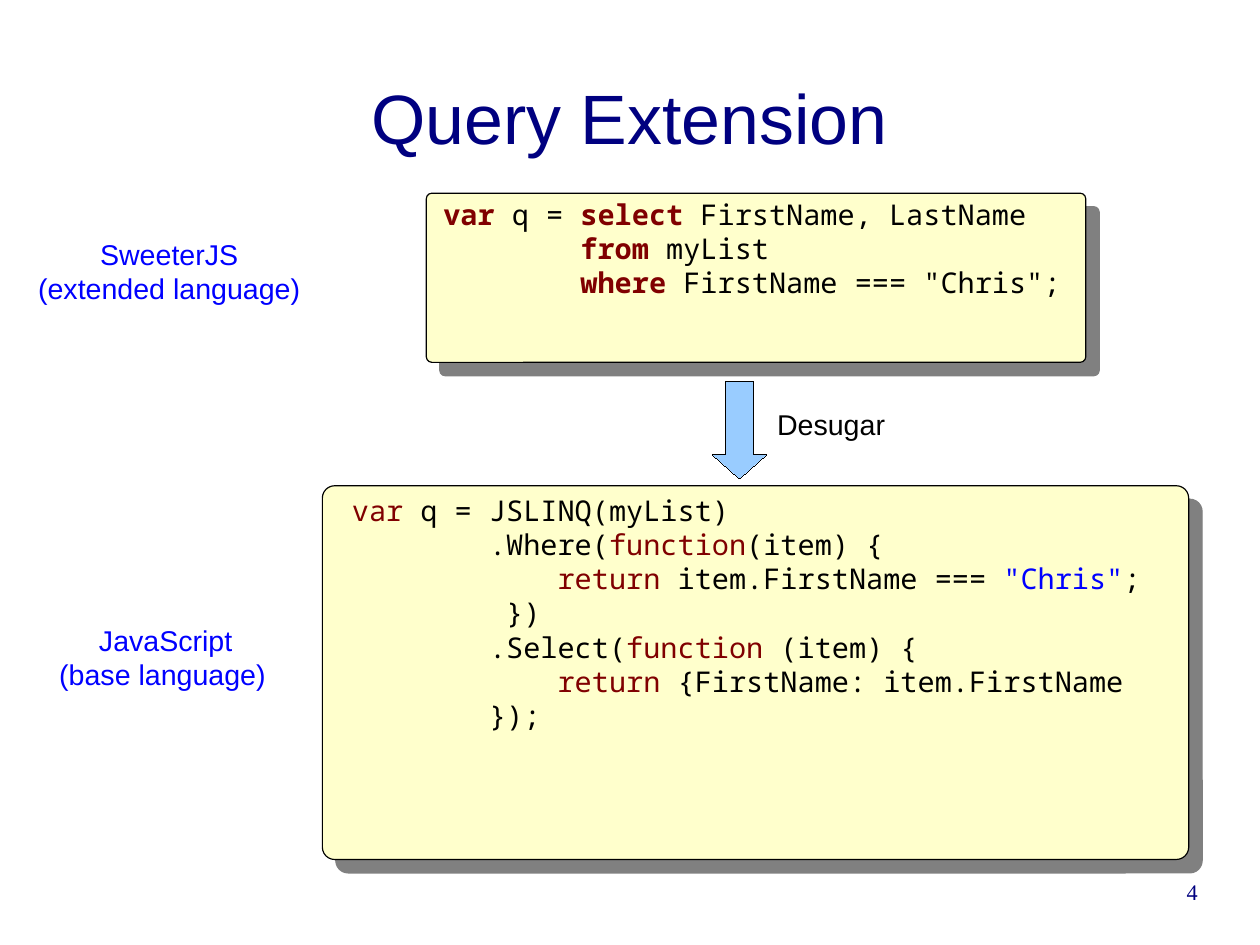
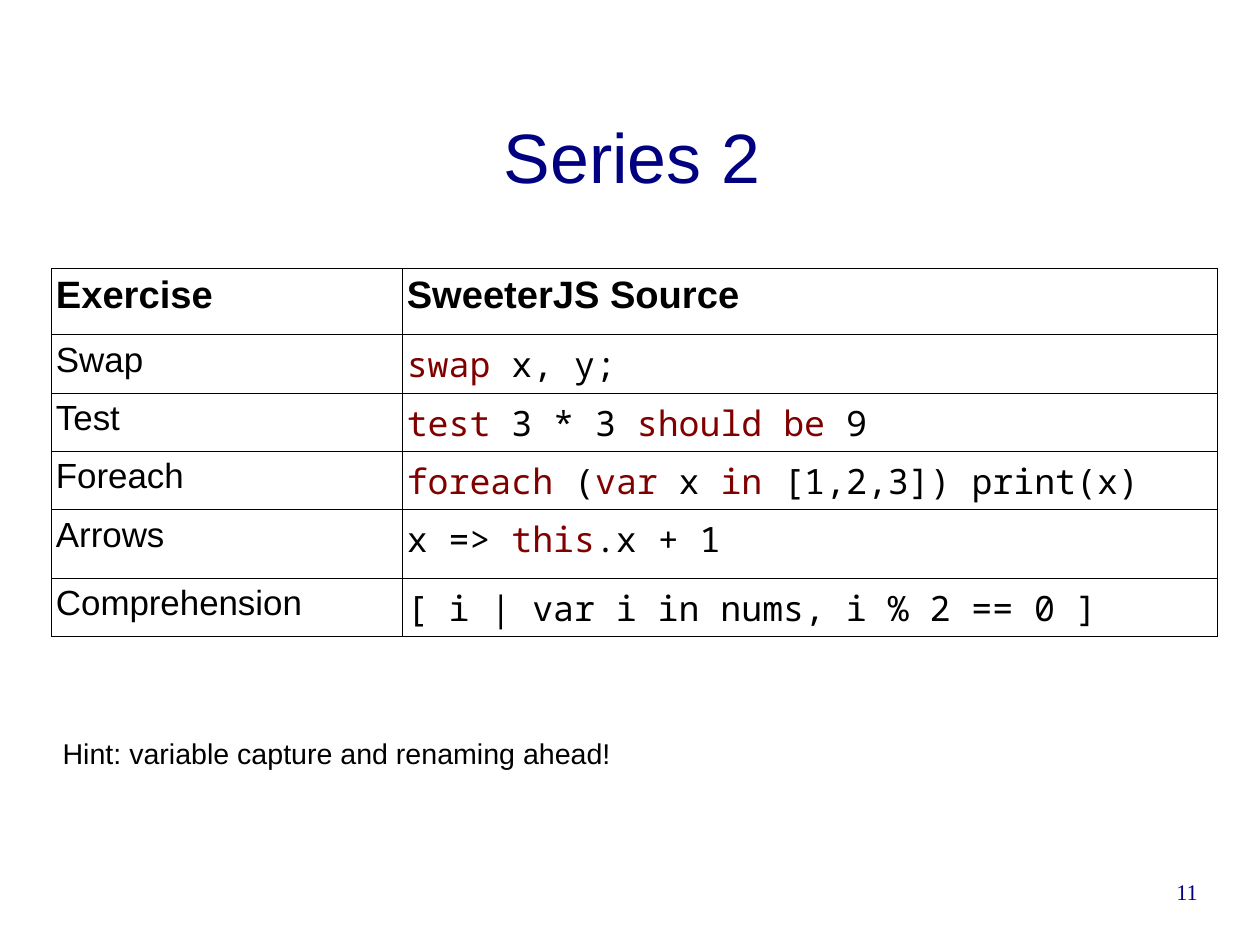
from dataclasses import dataclass

from lxml.etree import SubElement
from pptx import Presentation
from pptx.dml.color import RGBColor
from pptx.enum.shapes import MSO_SHAPE as Shape
from pptx.enum.text import MSO_ANCHOR as Anchor, PP_ALIGN as Align
from pptx.oxml.ns import qn
from pptx.util import Inches, Pt


@dataclass(frozen=True)
class Theme:
    navy: str = "000080"
    ink: str = "000000"
    keyword: str = "800000"
    blue: str = "0000FF"
    panel: str = "FFFFCC"
    arrow: str = "99CCFF"
    shade: str = "808080"
    sans: str = "Arial"
    mono: str = "Noto Sans Mono"
    serif: str = "Times New Roman"
    title: int = 44
    header: int = 24
    cell: int = 22
    body: int = 18
    footer: int = 14
    hairline: float = 0.01


THEME = Theme()
CM_PER_INCH = 2.54
SLIDE_CM = (28, 21)


@dataclass(frozen=True)
class Style:
    size: int = THEME.body
    font: str = THEME.sans
    color: str = THEME.ink
    bold: bool = False


TITLE = Style(THEME.title, color=THEME.navy)
FOOTER = Style(THEME.footer, THEME.serif, THEME.navy)
BODY = Style()
LANGUAGE = Style(color=THEME.blue)
CODE = Style(font=THEME.mono)
KEYWORD = Style(font=THEME.mono, color=THEME.keyword)
BOLD_KEYWORD = Style(font=THEME.mono, color=THEME.keyword, bold=True)
STRING = Style(font=THEME.mono, color=THEME.blue)
HEADER = Style(THEME.header, bold=True)
CELL = Style(THEME.cell)
CELL_CODE = Style(THEME.cell, THEME.mono)
CELL_KEYWORD = Style(THEME.cell, THEME.mono, THEME.keyword)

# A line is a list of runs: plain text takes the default style, a pair names its own.
QUERY = [
    [("var", BOLD_KEYWORD), " q = ", ("select", BOLD_KEYWORD), " FirstName, LastName"],
    ["        ", ("from", BOLD_KEYWORD), " myList"],
    ["        ", ("where", BOLD_KEYWORD), ' FirstName === "Chris";'],
]
DESUGARED = [
    [("var", KEYWORD), " q = JSLINQ(myList)"],
    ["        .Where(", ("function", KEYWORD), "(item) {"],
    ["            ", ("return", KEYWORD), " item.FirstName === ", ('"Chris"', STRING), ";"],
    ["         })"],
    ["        .Select(", ("function", KEYWORD), " (item) {"],
    ["            ", ("return", KEYWORD), " {FirstName: item.FirstName"],
    ["        });"],
]
# Panel box, code box, code, label box, label, alignment of each label line
LANGUAGES = [
    ((3.73, 1.69, 5.77, 1.48), (3.78, 1.67, 5.71, 1.45), QUERY,
     (0.17, 2.02, 2.62, 0.78), [["SweeterJS"], ["(extended language)"]],
     (Align.CENTER, Align.CENTER)),
    ((2.82, 4.25, 7.58, 3.27), (2.98, 4.26, 7.19, 3.95), DESUGARED,
     (0.42, 5.4, 2.06, 0.78), [["JavaScript"], ["(base language)"]],
     (Align.CENTER, Align.LEFT)),
]
EXERCISE_HEADS = ["Exercise", "SweeterJS Source"]
EXERCISES = [
    ("Swap", [("swap", CELL_KEYWORD), " x, y;"]),
    ("Test", [("test", CELL_KEYWORD), " 3 * 3 ", ("should be", CELL_KEYWORD), " 9"]),
    ("Foreach", [("foreach", CELL_KEYWORD), " (", ("var", CELL_KEYWORD), " x ",
                 ("in", CELL_KEYWORD), " [1,2,3]) print(x)"]),
    ("Arrows", ["x => ", ("this", CELL_KEYWORD), ".x + 1"]),
    ("Comprehension", ["[ i | var i in nums, i % 2 == 0 ]"]),
]
COLUMN_WIDTHS = [3.07, 7.13]
ROW_HEIGHTS = [0.58, 0.51, 0.51, 0.51, 0.6, 0.51]


def inches(box):
    return [Inches(length) for length in box]


def rgb(color):
    return RGBColor.from_string(color)


def write(frame, lines, style, aligns=(Align.LEFT,)):
    """Write the lines; the last alignment holds for all further lines."""
    for number, line in enumerate(lines):
        paragraph = frame.add_paragraph() if number else frame.paragraphs[0]
        paragraph.alignment = aligns[min(number, len(aligns) - 1)]
        for part in line:
            text, look = (part, style) if isinstance(part, str) else part
            run = paragraph.add_run()
            run.text = text
            run.font.size = Pt(look.size)
            run.font.name = look.font
            run.font.bold = look.bold
            run.font.color.rgb = rgb(look.color)


def add_text(slide, box, lines, style, aligns=(Align.LEFT,), wrap=True, inset=True,
             anchor=Anchor.TOP):
    frame = slide.shapes.add_textbox(*inches(box)).text_frame
    frame.word_wrap = wrap
    frame.vertical_anchor = anchor
    if not inset:
        frame.margin_left = frame.margin_right = frame.margin_top = frame.margin_bottom = 0
    write(frame, lines, style, aligns)


def add_figure(slide, kind, box, adjustments, fill, line_width):
    figure = slide.shapes.add_shape(kind, *inches(box))
    for index, value in enumerate(adjustments):
        figure.adjustments[index] = value
    figure.shadow.inherit = False
    figure.fill.solid()
    figure.fill.fore_color.rgb = rgb(fill)
    figure.line.color.rgb = rgb(THEME.ink)
    figure.line.width = Pt(line_width)
    return figure


def add_panel(slide, box):
    """Code panel with a hard drop shadow to the lower right."""
    panel = add_figure(slide, Shape.ROUNDED_RECTANGLE, box, [0.033], THEME.panel, 0.75)
    effects = panel.element.spPr.find(qn("a:effectLst"))
    shadow = SubElement(effects, qn("a:outerShdw"), dist=str(Pt(12)), dir=str(45 * 60000),
                        algn="tl", rotWithShape="0")
    SubElement(shadow, qn("a:srgbClr"), val=THEME.shade)


def outline(cell):
    properties = cell._tc.get_or_add_tcPr()
    for side in ("lnL", "lnR", "lnT", "lnB"):
        border = SubElement(properties, qn(f"a:{side}"), w=str(Pt(0.57)))
        fill = SubElement(border, qn("a:solidFill"))
        SubElement(fill, qn("a:srgbClr"), val=THEME.ink)


def add_exercises(slide, left, top):
    rows = [[([head], HEADER) for head in EXERCISE_HEADS]]
    rows += [[([name], CELL), (source, CELL_CODE)] for name, source in EXERCISES]
    box = (left, top, sum(COLUMN_WIDTHS), sum(ROW_HEIGHTS))
    table = slide.shapes.add_table(len(rows), len(COLUMN_WIDTHS), *inches(box)).table
    table.first_row = table.horz_banding = False
    for column, width in zip(table.columns, COLUMN_WIDTHS):
        column.width = Inches(width)
    for row, height, entries in zip(table.rows, ROW_HEIGHTS, rows):
        row.height = Inches(height)
        for cell, (line, style) in zip(row.cells, entries):
            cell.margin_left = cell.margin_right = Inches(0.04)
            cell.margin_top = cell.margin_bottom = Inches(0.05)
            outline(cell)
            cell.fill.background()
            write(cell.text_frame, [line], style)


def add_slide(deck, title, title_left, title_top, number):
    slide = deck.slides.add_slide(deck.slide_layouts[6])
    add_text(slide, (title_left, title_top, 9.92, 1.38), [[title]], TITLE, (Align.CENTER,),
             inset=False, anchor=Anchor.MIDDLE)
    add_text(slide, (7.91, 7.68, 2.57, 0.57), [[number]], FOOTER, (Align.RIGHT,), inset=False)
    return slide


def build_query_slide(deck):
    slide = add_slide(deck, "Query Extension", 0.55, 0.33, "4")
    for panel_box, code_box, code, label_box, label, aligns in LANGUAGES:
        add_panel(slide, panel_box)
        add_text(slide, code_box, code, CODE)
        add_text(slide, label_box, label, LANGUAGE, aligns, wrap=False)
    add_figure(slide, Shape.DOWN_ARROW, (6.23, 3.34, 0.48, 0.85), [0.5, 0.443],
               THEME.arrow, THEME.hairline)
    add_text(slide, (6.7, 3.51, 1.18, 0.44), [["Desugar"]], BODY, wrap=False)


def build_series_slide(deck):
    slide = add_slide(deck, "Series 2", 0.57, 0.67, "11")
    add_exercises(slide, 0.45, 2.35)
    add_text(slide, (0.45, 6.39, 5.46, 0.44),
             [["Hint: variable capture and renaming ahead!"]], BODY, wrap=False)


def main():
    deck = Presentation()
    width, height = SLIDE_CM
    deck.slide_width = Inches(width / CM_PER_INCH)
    deck.slide_height = Inches(height / CM_PER_INCH)
    build_query_slide(deck)
    build_series_slide(deck)
    deck.save("out.pptx")


if __name__ == "__main__":
    main()
